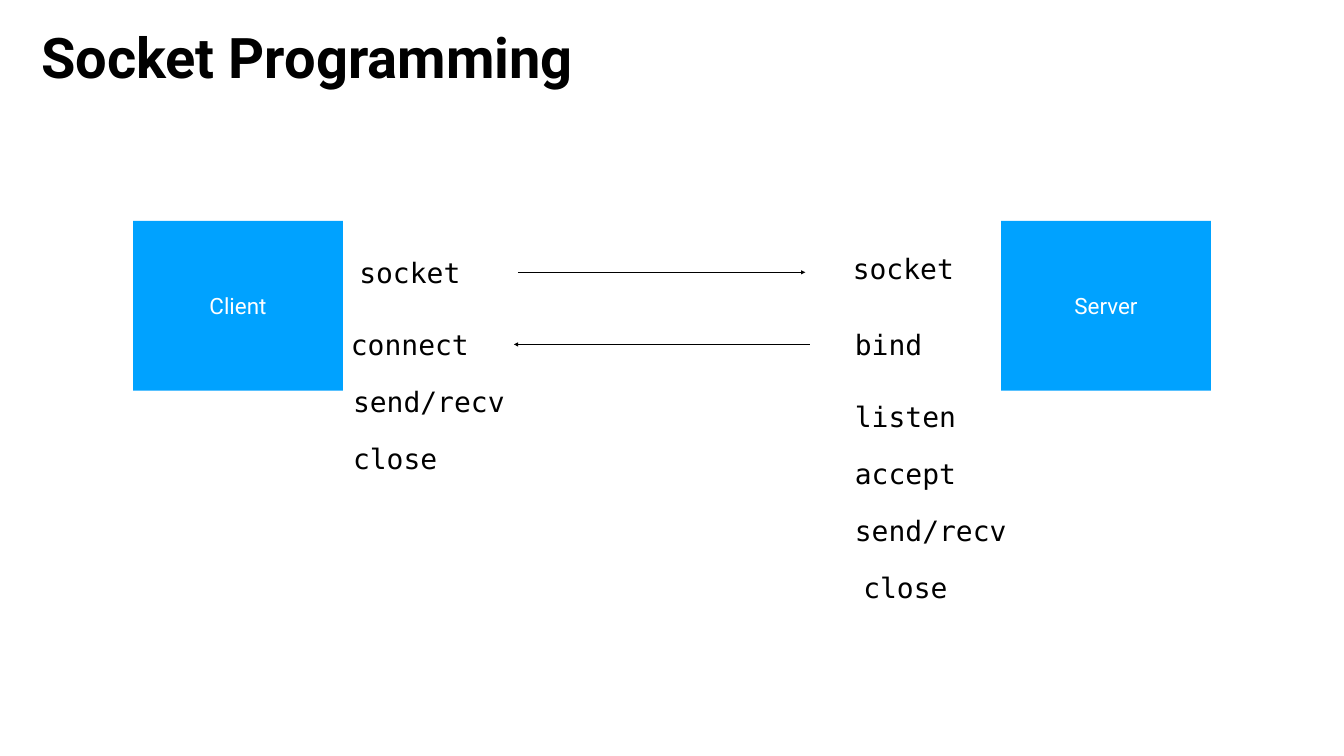
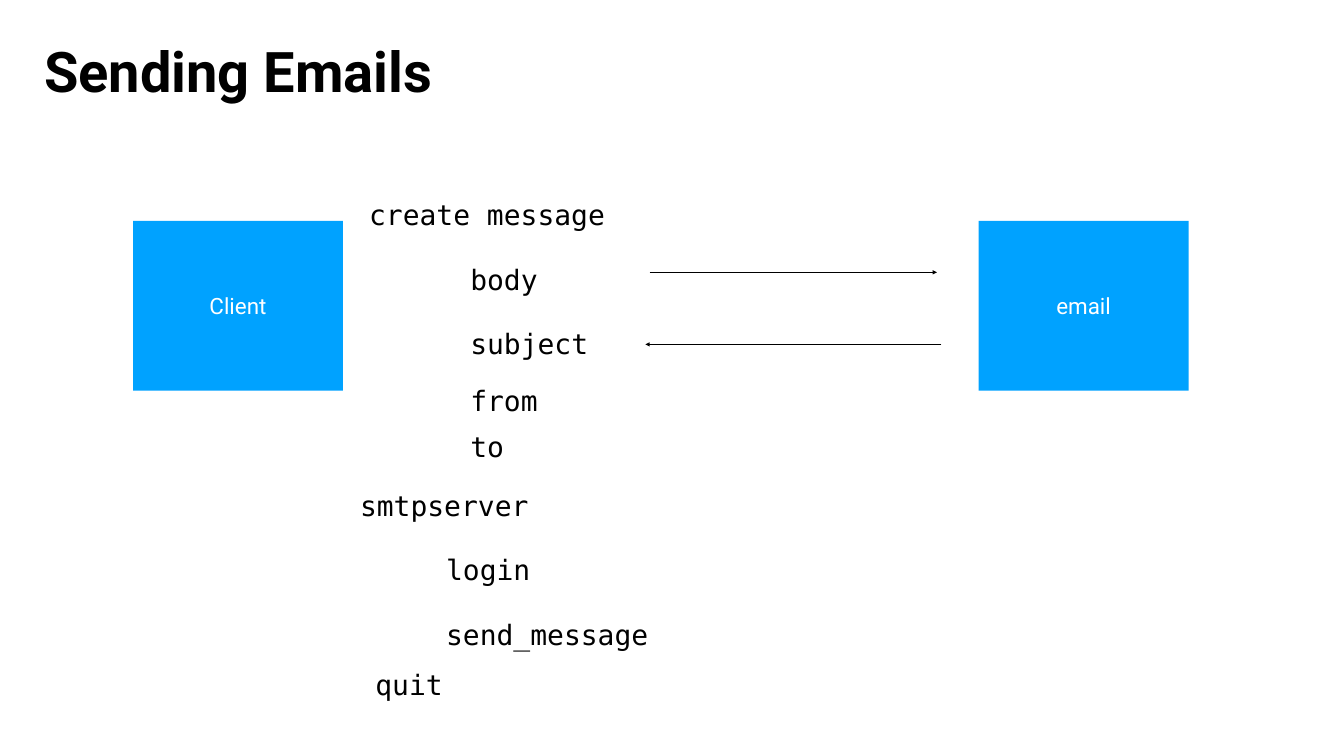
import pptx
import pptx.util
import pptx.dml.color
import pptx.enum.shapes
import pptx.enum.text
import pptx.oxml.ns
from dataclasses import dataclass
from lxml import etree

Pt = pptx.util.Pt

# Content: call groups are (left, top of first, pitch, calls); lengths in points
SLIDES = [
    {
        "title": ("Socket Programming", 30, 29, 818),
        "peers": [("Server", 1430), ("Client", 190)],
        "request_left": 740,
        "call_groups": [
            (509, 360, 0, ["socket"]),
            (497, 463, 0, ["connect"]),
            (500, 544.4, 81.3, ["send/recv", "close"]),
            (1214, 355, 0, ["socket"]),
            (1217, 463, 0, ["bind"]),
            (1217, 566, 81.3, ["listen", "accept", "send/recv"]),
            (1229, 810, 0, ["close"]),
        ],
    },
    {
        "title": ("Sending Emails", 42, 49, 597),
        "peers": [("email", 1398), ("Client", 190)],
        "request_left": 928,
        "call_groups": [
            (523, 278, 0, ["create message"]),
            (667.5, 370, 92.3, ["body", "subject"]),
            (667.5, 543.6, 65.5, ["from", "to"]),
            (510, 692.6, 0, ["smtpserver"]),
            (633, 785, 92.6, ["login", "send_message"]),
            (532, 949, 0, ["quit"]),
        ],
    },
]


@dataclass(frozen=True)
class Theme:
    ink: str = "000000"
    peer_fill: str = "00A2FF"
    peer_ink: str = "FFFFFF"
    background: str = "FFFFFF"
    sans: str = "Roboto"
    mono: str = "DejaVu Sans Mono"
    title_size: int = 80
    peer_size: int = 32
    call_size: int = 40
    line_width: int = 2


THEME = Theme()
SLIDE_SIZE = (1920, 1080)
TITLE_HEIGHT = 103
PEER_TOP, PEER_WIDTH, PEER_HEIGHT = 315.4, 300, 242.6
CALL_HEIGHT, CALL_PADDING, CHARACTER_WIDTH = 57.6, 9, 24.08
INSET = 4.3
REQUEST_TOP, REPLY_TOP = 389, 492
REQUEST_LENGTH, REPLY_LENGTH, REPLY_SHIFT = 410.5, 423, -6
CENTER = pptx.enum.text.PP_ALIGN.CENTER
LEFT = pptx.enum.text.PP_ALIGN.LEFT


def rgb(value):
    return pptx.dml.color.RGBColor.from_string(value)


def set_text(shape, text, size, font, color, align, inset, bold=False):
    frame = shape.text_frame
    for side in ("left", "top", "right", "bottom"):
        setattr(frame, f"margin_{side}", Pt(inset))
    frame.vertical_anchor = pptx.enum.text.MSO_ANCHOR.MIDDLE
    paragraph = frame.paragraphs[0]
    paragraph.alignment = align
    run = paragraph.add_run()
    run.text = text
    for name, value in {"name": font, "size": Pt(size), "bold": bold}.items():
        setattr(run.font, name, value)
    run.font.color.rgb = rgb(color)


def add_label(slide, text, left, top, width, height, size, font, align, bold=False):
    label = slide.shapes.add_textbox(Pt(left), Pt(top), Pt(width), Pt(height))
    set_text(label, text, size, font, THEME.ink, align, INSET, bold)
    label.text_frame.word_wrap = False
    label.text_frame.auto_size = pptx.enum.text.MSO_AUTO_SIZE.SHAPE_TO_FIT_TEXT


def add_peer(slide, name, left):
    peer = slide.shapes.add_shape(
        pptx.enum.shapes.MSO_SHAPE.RECTANGLE,
        Pt(left), Pt(PEER_TOP), Pt(PEER_WIDTH), Pt(PEER_HEIGHT))
    peer.shadow.inherit = False
    peer.fill.solid()
    peer.fill.fore_color.rgb = rgb(THEME.peer_fill)
    peer.line.fill.background()
    set_text(peer, name, THEME.peer_size, THEME.sans, THEME.peer_ink, CENTER, 0)


def add_arrow(slide, start, end, top):
    arrow = slide.shapes.add_connector(
        pptx.enum.shapes.MSO_CONNECTOR.STRAIGHT, Pt(start), Pt(top), Pt(end), Pt(top))
    arrow.line.color.rgb = rgb(THEME.ink)
    arrow.line.width = Pt(THEME.line_width)
    qn = pptx.oxml.ns.qn
    etree.SubElement(arrow.line._get_or_add_ln(), qn("a:tailEnd"), type="triangle")
    etree.SubElement(arrow._element.spPr, qn("a:effectLst"))


def build_slide(deck, content):
    slide = deck.slides.add_slide(deck.slide_layouts[6])
    slide.background.fill.solid()
    slide.background.fill.fore_color.rgb = rgb(THEME.background)

    # Title
    title, left, top, width = content["title"]
    add_label(slide, title, left, top, width, TITLE_HEIGHT,
              THEME.title_size, THEME.sans, CENTER, bold=True)

    # Two peers and the exchange between them
    for name, left in content["peers"]:
        add_peer(slide, name, left)
    request_left = content["request_left"]
    reply_left = request_left + REPLY_SHIFT
    add_arrow(slide, request_left, request_left + REQUEST_LENGTH, REQUEST_TOP)
    add_arrow(slide, reply_left + REPLY_LENGTH, reply_left, REPLY_TOP)

    # Calls, each as wide as its monospaced text
    for left, top, pitch, calls in content["call_groups"]:
        for row, call in enumerate(calls):
            width = len(call) * CHARACTER_WIDTH + CALL_PADDING
            add_label(slide, call, left, top + row * pitch, width, CALL_HEIGHT,
                      THEME.call_size, THEME.mono, LEFT)


def main():
    deck = pptx.Presentation()
    deck.slide_width, deck.slide_height = map(Pt, SLIDE_SIZE)
    for content in SLIDES:
        build_slide(deck, content)
    deck.save("out.pptx")


if __name__ == "__main__":
    main()
